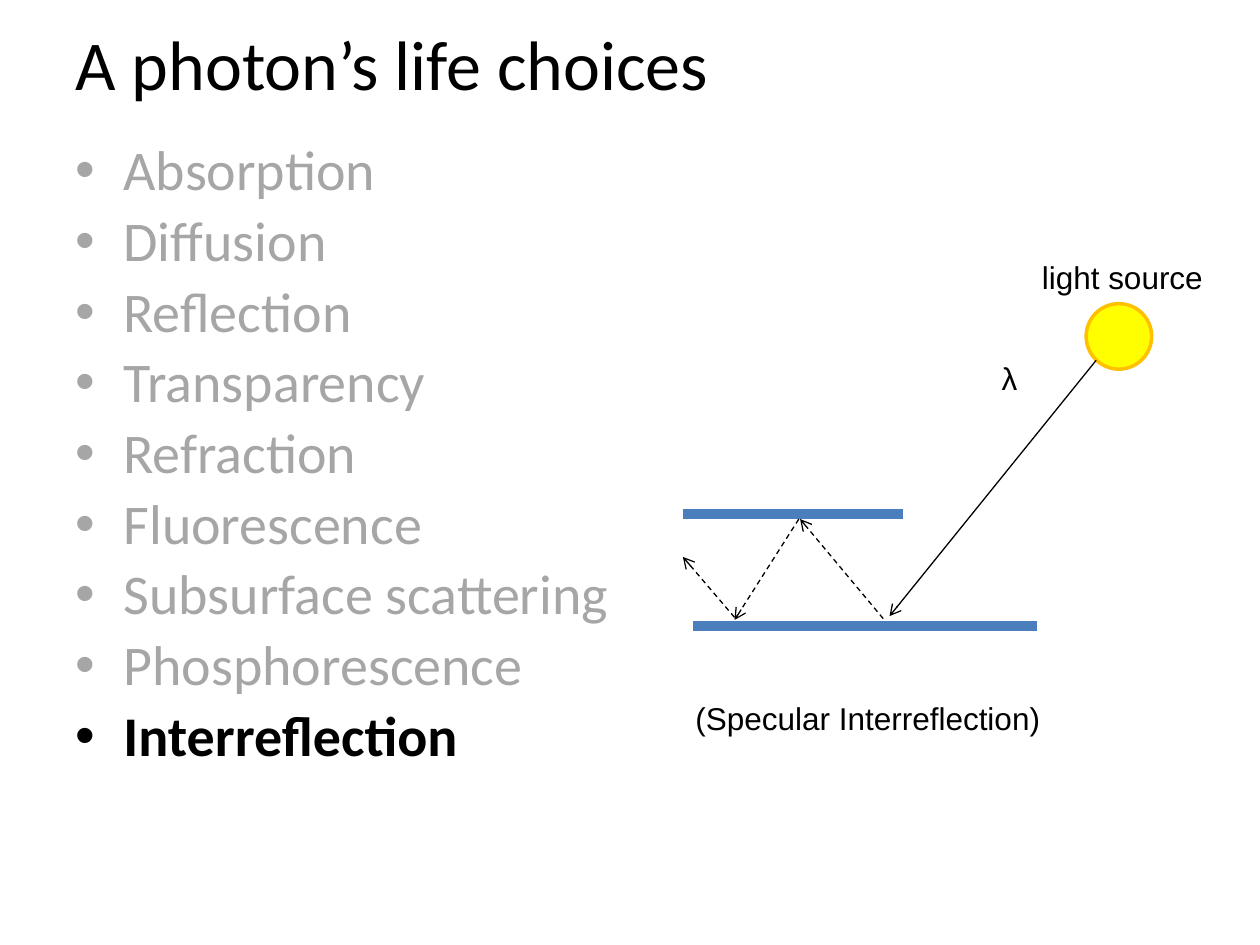
"""Build the slide about a photon's life choices, ending with interreflection."""
from pptx import Presentation, util as u
from pptx.dml.color import RGBColor
from pptx.enum import dml, shapes, text
from pptx.oxml import ns, xmlchemy as xml

COLORS = {
    "black": "000000",
    "faded": "A6A6A6",
    "surface": "4B7EBC",
    "sun": "FFFF00",
    "sun_rim": "FFC000",
}
CHOICES = [
    "Absorption", "Diffusion", "Reflection", "Transparency", "Refraction",
    "Fluorescence", "Subsurface scattering", "Phosphorescence", "Interreflection",
]
SURFACES = [((5.5, 4.97), (8.23, 4.97)), ((5.42, 4.08), (7.17, 4.08))]
BOUNCES = [
    ((7.01, 4.91), (6.35, 4.12)),
    ((6.34, 4.12), (5.83, 4.92)),
    ((5.83, 4.9), (5.42, 4.42)),
]
LABELS = [
    ("λ", (7.85, 2.8, 0.51, 0.4)),
    ("light source", (8.17, 2, 1.5, 0.4)),
    ("(Specular Interreflection)", (5.42, 5.5, 3.05, 0.4)),
]


def color(name):
    return RGBColor.from_string(COLORS[name])


def place(box, left, top, width, height):
    box.left, box.top = u.Inches(left), u.Inches(top)
    box.width, box.height = u.Inches(width), u.Inches(height)


def write(para, words, size=18, font="Arial", fill="black", bold=False):
    span = para.add_run()
    span.text = words
    span.font.name, span.font.size, span.font.bold = font, u.Pt(size), bold
    span.font.color.rgb = color(fill)
    para.alignment = text.PP_ALIGN.LEFT


def add_bullet(para):
    props = para._p.get_or_add_pPr()
    props.set("marL", str(u.Inches(0.38)))
    props.set("indent", str(-u.Inches(0.38)))
    for tag, name, value in (("a:buFont", "typeface", "Arial"), ("a:buChar", "char", "•")):
        bullet = xml.OxmlElement(tag)
        bullet.set(name, value)
        props.append(bullet)


def fill_title(box, words):
    place(box, 0.5, 0, 9, 1)
    frame = box.text_frame
    frame.auto_size = text.MSO_AUTO_SIZE.NONE
    frame.vertical_anchor = text.MSO_ANCHOR.MIDDLE
    write(frame.paragraphs[0], words, size=40, font="Calibri")


def fill_list(box, items):
    place(box, 0.5, 1.08, 9, 5.62)
    frame = box.text_frame
    frame.auto_size = text.MSO_AUTO_SIZE.NONE
    for index, item in enumerate(items):
        current = index == len(items) - 1
        para = frame.add_paragraph() if index else frame.paragraphs[0]
        add_bullet(para)
        para.line_spacing = 0.9
        para.space_before = u.Pt(5.8 if index else 0)
        write(para, item, size=32, font="Calibri",
              fill="black" if current else "faded", bold=current)


def add_label(page, words, bounds):
    box = page.shapes.add_textbox(*map(u.Inches, bounds))
    box.text_frame.word_wrap = False
    write(box.text_frame.paragraphs[0], words)


def add_line(page, start, end, fill="black", width=0.75, dashed=False, arrow=True):
    line = page.shapes.add_connector(
        shapes.MSO_CONNECTOR.STRAIGHT, *map(u.Inches, start + end))
    line.line.color.rgb = color(fill)
    line.line.width = u.Pt(width)
    if dashed:
        line.line.dash_style = dml.MSO_LINE.DASH
    props = line._element.spPr
    if arrow:
        tail = xml.OxmlElement("a:tailEnd")
        tail.set("type", "arrow")
        props.find(ns.qn("a:ln")).append(tail)
    props.append(xml.OxmlElement("a:effectLst"))


def add_sun(page, bounds):
    sun = page.shapes.add_shape(shapes.MSO_SHAPE.OVAL, *map(u.Inches, bounds))
    sun.shadow.inherit = False
    sun.fill.solid()
    sun.fill.fore_color.rgb = color("sun")
    sun.line.color.rgb = color("sun_rim")
    sun.line.width = u.Pt(2)


def main():
    deck = Presentation()
    deck.slide_width, deck.slide_height = u.Inches(10), u.Inches(7.5)
    page = deck.slides.add_slide(deck.slide_layouts[1])
    fill_title(page.shapes.title, "A photon’s life choices")
    fill_list(page.placeholders[1], CHOICES)
    for start, end in SURFACES:
        add_line(page, start, end, fill="surface", width=6, arrow=False)
    add_sun(page, (8.62, 2.41, 0.52, 0.52))
    add_line(page, (8.7, 2.86), (7.06, 4.89))
    for start, end in BOUNCES:
        add_line(page, start, end, dashed=True)
    for words, bounds in LABELS:
        add_label(page, words, bounds)
    deck.save("out.pptx")


if __name__ == "__main__":
    main()
